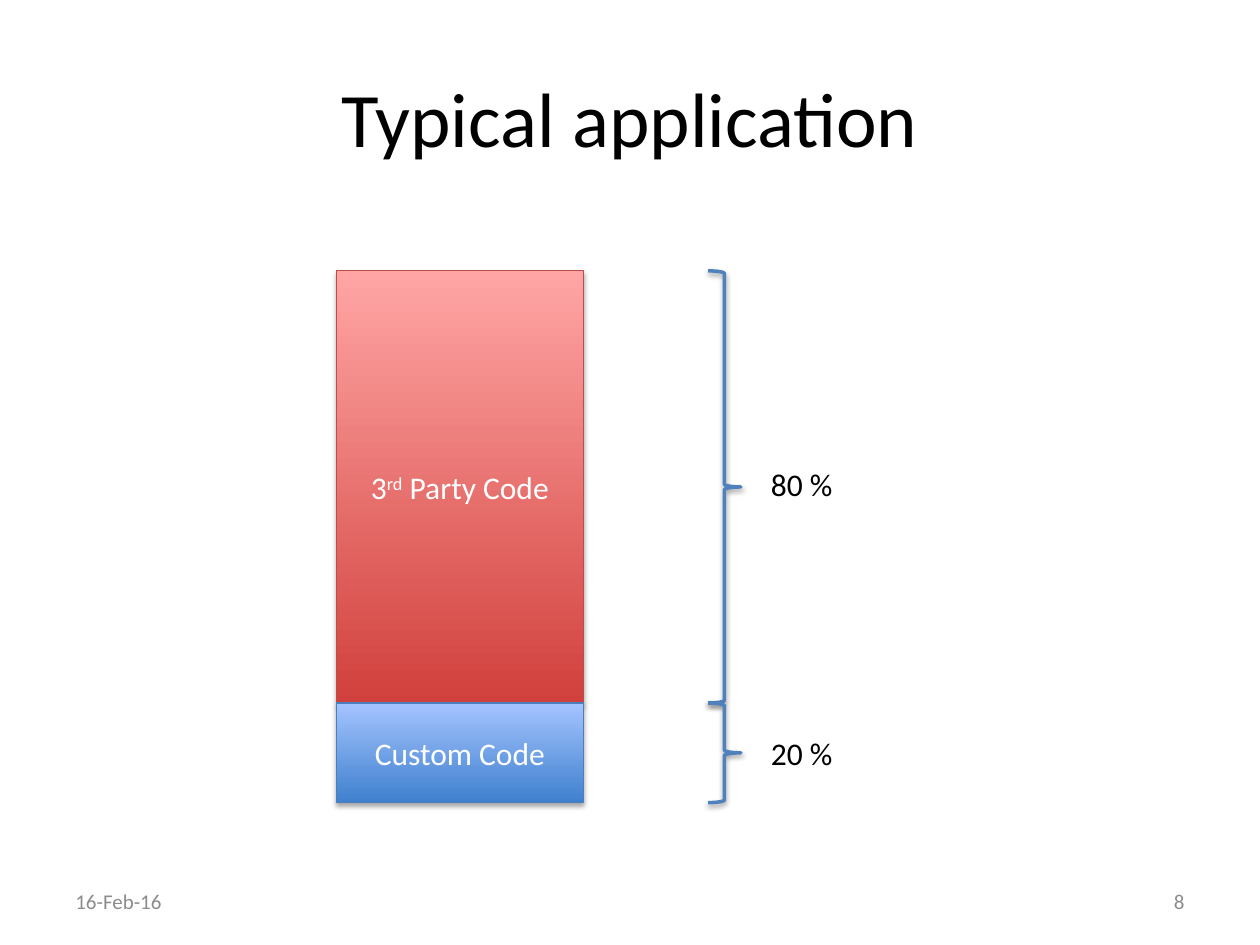
from lxml.etree import SubElement
from pptx import Presentation
from pptx.dml.color import RGBColor
from pptx.enum.shapes import MSO_SHAPE
from pptx.enum.text import MSO_ANCHOR, PP_ALIGN
from pptx.oxml.ns import qn
from pptx.util import Inches, Pt

HUES = {
    "ink": "000000", "gray": "8C8C8C", "white": "FFFFFF", "brace": "4F81BD",
    "red": "D1403C", "pink": "FFA6A5", "red_edge": "BF4C48",
    "blue": "3F80CE", "sky": "A4C4FF", "blue_edge": "4B7EBC",
}
TOP = 2.15
BAR_X, BAR_W = 2.67, 1.96
BRACE_X, BRACE_W = 5.62, 0.26
NOTE_X, NOTE_W, NOTE_H = 6.02, 0.79, 0.4
FOOT_Y, FOOT_W, FOOT_H = 6.95, 2.33, 0.4

# Each part: height, label runs (text, raised), share, top of share, fill, edge
PARTS = [
    (3.43, [("3", False), ("rd", True), (" Party Code", False)],
     "80 %", 3.64, ("red", "pink"), "red_edge"),
    (0.79, [("Custom Code", False)],
     "20 %", 5.78, ("blue", "sky"), "blue_edge"),
]


def color(name):
    return RGBColor.from_string(HUES[name])


def put(item, form):
    for key, value in form.items():
        setattr(item, key, value)


def write(shape, runs, size, hue, align=PP_ALIGN.LEFT, anchor=MSO_ANCHOR.MIDDLE):
    frame = shape.text_frame
    put(frame, {"word_wrap": True, "vertical_anchor": anchor})
    para = frame.paragraphs[0]
    para.alignment = align
    for text, raised in runs:
        run = para.add_run()
        run.text = text
        put(run.font, {"name": "Calibri", "size": Pt(size)})
        run.font.color.rgb = color(hue)
        if raised:
            run.font._element.set("baseline", "30000")


def add_text(slide, box, text, *style):
    shape = slide.shapes.add_textbox(*map(Inches, box))
    write(shape, [(text, False)], *style)


def add_shade(shape, dist, alpha):
    """Give the shape a soft shadow straight below it."""
    shape.shadow.inherit = False
    effects = shape._element.spPr.find(qn("a:effectLst"))
    shade = SubElement(effects, qn("a:outerShdw"), {
        "blurRad": str(Pt(3.1)), "dist": str(Pt(dist)),
        "dir": "5400000", "rotWithShape": "0"})
    tint = SubElement(shade, qn("a:srgbClr"), val=HUES["ink"])
    SubElement(tint, qn("a:alpha"), val=str(alpha * 1000))


def add_form(slide, kind, box, edge, width):
    shape = slide.shapes.add_shape(kind, *map(Inches, box))
    shape.line.color.rgb = color(edge)
    shape.line.width = Pt(width)
    return shape


def add_bar(slide, box, runs, fill, edge):
    bar = add_form(slide, MSO_SHAPE.RECTANGLE, box, edge, 0.75)
    bar.fill.gradient()
    bar.fill.gradient_angle = 90
    for stop, hue in zip(bar.fill.gradient_stops, fill):
        stop.color.rgb = color(hue)
    add_shade(bar, 1.8, 35)
    write(bar, runs, 18, "white", PP_ALIGN.CENTER)


def add_brace(slide, box):
    brace = add_form(slide, MSO_SHAPE.RIGHT_BRACE, box, "brace", 2)
    brace.fill.background()
    add_shade(brace, 1.6, 38)


def main():
    deck = Presentation()
    put(deck, {"slide_width": Inches(10), "slide_height": Inches(7.5)})
    slide = deck.slides.add_slide(deck.slide_layouts[6])

    add_text(slide, (0.5, 0.3, 9, 1.25), "Typical application",
             44, "ink", PP_ALIGN.CENTER)
    add_text(slide, (0.5, FOOT_Y, FOOT_W, FOOT_H), "16-Feb-16", 12, "gray")
    add_text(slide, (7.17, FOOT_Y, FOOT_W, FOOT_H), "8",
             12, "gray", PP_ALIGN.RIGHT)

    top = TOP
    for high, runs, share, note_y, fill, edge in PARTS:
        add_bar(slide, (BAR_X, top, BAR_W, high), runs, fill, edge)
        add_brace(slide, (BRACE_X, top, BRACE_W, high))
        add_text(slide, (NOTE_X, note_y, NOTE_W, NOTE_H), share,
                 18, "ink", PP_ALIGN.LEFT, MSO_ANCHOR.TOP)
        top += high

    deck.save("out.pptx")


if __name__ == "__main__":
    main()
